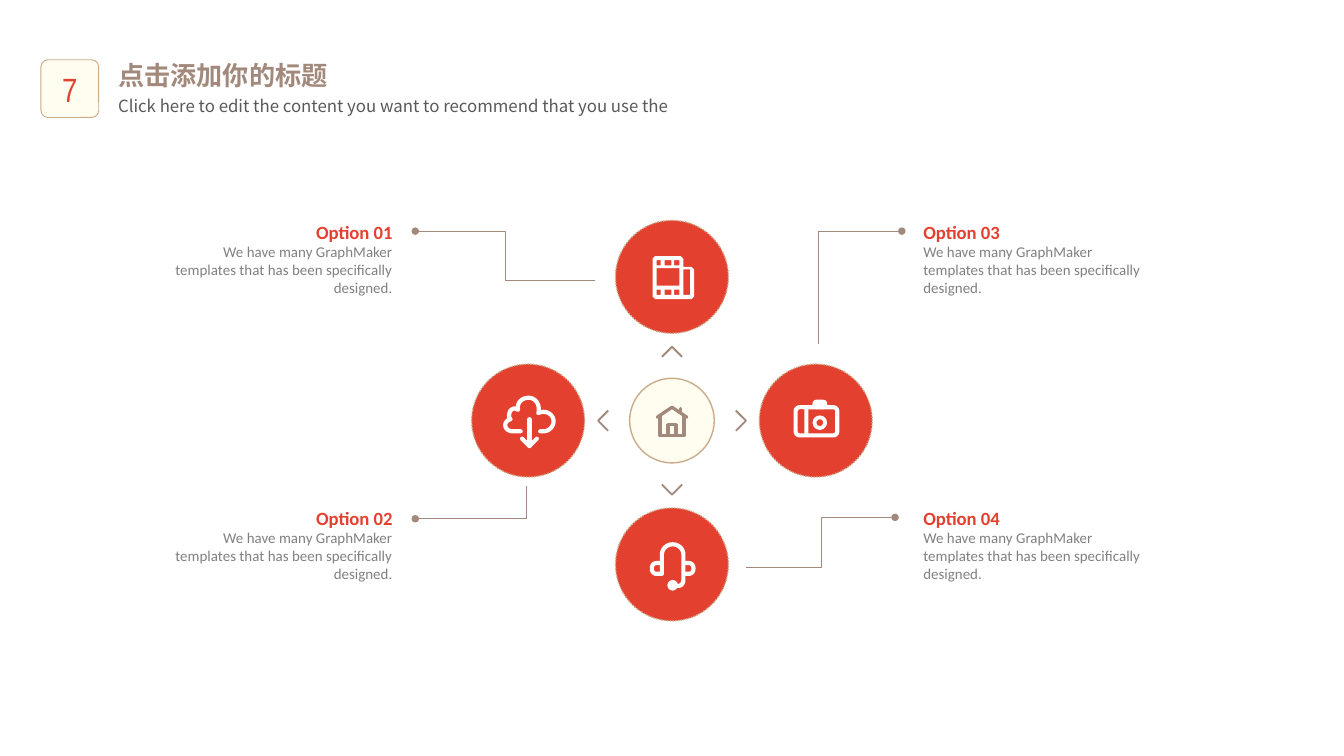
from lxml import etree
from pptx import Presentation
from pptx.dml.color import RGBColor
from pptx.enum.dml import MSO_LINE
from pptx.enum.shapes import MSO_SHAPE
from pptx.enum.text import MSO_ANCHOR, PP_ALIGN
from pptx.oxml.ns import qn
from pptx.util import Inches, Pt

OVAL, RECT, ROUNDED = MSO_SHAPE.OVAL, MSO_SHAPE.RECTANGLE, MSO_SHAPE.ROUNDED_RECTANGLE
LEFT, CENTER, RIGHT = PP_ALIGN.LEFT, PP_ALIGN.CENTER, PP_ALIGN.RIGHT
TOP, MIDDLE = MSO_ANCHOR.TOP, MSO_ANCHOR.MIDDLE
DOTTED = MSO_LINE.ROUND_DOT

RED = RGBColor(0xE4, 0x40, 0x2F)
CREAM = RGBColor(0xFF, 0xFD, 0xEF)
GOLD = RGBColor(0xCB, 0xAB, 0x89)
BROWN = RGBColor(0xA2, 0x89, 0x7B)
WHITE = RGBColor(0xFF, 0xFF, 0xFF)
GRAY = RGBColor(0x80, 0x80, 0x80)
DARK = RGBColor(0x59, 0x59, 0x59)
HEADING_FONT, BODY_FONT, NUMBER_FONT = "Noto Sans CJK SC", "Calibri", "Arial Narrow"

# The wheel: four nodes at equal reach around a hub
HUB = (5, 3.13)
REACH, NODE_SIZE, HUB_SIZE = 1.07, 0.84, 0.63
CHEVRON_TIP, CHEVRON_ARM = 0.55, 0.075
UP, DOWN, TO_LEFT, TO_RIGHT = (0, -1), (0, 1), (-1, 0), (1, 0)

OPTION_TEXT = "We have many GraphMaker templates that has been specifically designed."
OPTIONS = [  # title, left, top, alignment
    ("Option 01", 1.27, 1.64, RIGHT),
    ("Option 02", 1.27, 3.77, RIGHT),
    ("Option 03", 6.87, 1.64, LEFT),
    ("Option 04", 6.87, 3.77, LEFT),
]
LEADERS = [
    [(4.43, 2.09), (3.76, 2.09), (3.76, 1.72), (3.09, 1.72)],
    [(3.92, 3.62), (3.92, 3.86), (3.09, 3.86)],
    [(6.09, 2.56), (6.09, 1.72), (6.71, 1.72)],
    [(5.55, 4.22), (6.11, 4.22), (6.11, 3.85), (6.66, 3.85)],
]

# Icons, in hundredths of an inch from the centre of their circle.
# A pair is a straight step; six numbers are a cubic curve.
FILM_EDGE = [(9, -7), (9, -13), (7, -15), (-12, -15), (-14, -13), (-14, 15),
             (-12, 17), (15, 17), (17, 15), (17, -5), (15, -7)]
FILM_WINDOWS = [(-11, -6, 6, 7), (9, -5, 14, 14)] + [
    (left, top, right, top + 4)
    for left, right in ((-11, -8), (-5, 0), (2, 6)) for top in (-12, 10)]
CLOUD = [
    [(-5, 8.5), (-11, 8.5), (-14, 8.5, -16.5, 6.5, -16.5, 4),
     (-16.5, 2, -15, 0, -12.5, -0.5), (-14, -2, -14, -3, -13.5, -4),
     (-13.5, -6.5, -12, -8, -10, -8.5), (-9, -8.5, -8, -8, -7, -7.5),
     (-8, -13, -4, -16.5, 1, -16.5), (5, -16.5, 8.5, -13, 8.5, -8),
     (8.5, -7, 8.5, -6, 8, -5), (9, -5.5, 10.5, -6, 12, -6),
     (16, -6, 19.5, -3, 19.5, 1), (19.5, 5, 16, 8.5, 12, 8.5), (9.5, 8.5)],
    [(1.5, -0.5), (1.5, 19)],
    [(-4, 14), (1.5, 19.5), (7, 14)],
]
EAR_CUP = [(-8, -0.5), (-11, -0.5), (-13.5, -0.5, -14.5, 1.5, -14.5, 3.5),
           (-14.5, 5.5, -13.5, 7.5, -11, 7.5), (-8, 7.5)]
HEADSET = [
    [(-7, 7.5), (-7, -7), (-7, -11, -3.5, -14.5, 1, -14.5),
     (5.5, -14.5, 9, -11, 9, -7), (9, 12), (9, 14.5, 7.5, 16.5, 5, 16.5)],
    EAR_CUP,
    [tuple(2 - v if i % 2 == 0 else v for i, v in enumerate(step)) for step in EAR_CUP],
]
HOUSE = [
    [(-11, -2.5), (0, -10), (11, -2.5)],
    [(-9, -3), (-9, 11), (9, 11), (9, -3)],
    [(-3, 11), (-3, 3), (3, 3), (3, 11)],
    [(6.5, -9), (6.5, -6)],
]


def paint(shape, fill, line, width):
    shape.shadow.inherit = False
    if fill is None:
        shape.fill.background()
    else:
        shape.fill.solid()
        shape.fill.fore_color.rgb = fill
    if line is None:
        shape.line.fill.background()
    else:
        shape.line.color.rgb = line
        shape.line.width = Pt(width)
    return shape


def add_preset(slide, kind, center, width, height, fill=None, line=None, weight=0.75):
    shape = slide.shapes.add_shape(
        kind, Inches(center[0] - width / 2), Inches(center[1] - height / 2),
        Inches(width), Inches(height))
    return paint(shape, fill, line, weight)


def add_path(slide, contours, fill=None, line=None, weight=0.5, closed=False):
    contours = [[(Inches(x), Inches(y)) for x, y in points] for points in contours]
    builder = slide.shapes.build_freeform(*contours[0][0])
    for number, points in enumerate(contours):
        if number:
            builder.move_to(*points[0])
        builder.add_line_segments(points[1:], close=closed)
    return paint(builder.convert_to_shape(), fill, line, weight)


def trace(steps, center, samples=8):
    """Turn icon steps into slide points, sampling the curves."""
    points = []
    for step in steps:
        if len(step) == 2:
            points.append(step)
            continue
        controls = [points[-1], step[:2], step[2:4], step[4:]]
        for i in range(1, samples + 1):
            t = i / samples
            weights = ((1 - t) ** 3, 3 * t * (1 - t) ** 2, 3 * t * t * (1 - t), t ** 3)
            points.append(tuple(sum(w * c[axis] for w, c in zip(weights, controls))
                                for axis in (0, 1)))
    return [offset(center, x, y) for x, y in points]


def offset(center, x, y):
    return center[0] + x / 100, center[1] + y / 100


def add_line_icon(slide, center, strokes, color, weight):
    icon = add_path(slide, [trace(s, center) for s in strokes], line=color, weight=weight)
    icon.line._get_or_add_ln().set("cap", "rnd")


def add_film(slide, center):
    windows = [[(l, t), (r, t), (r, b), (l, b)] for l, t, r, b in FILM_WINDOWS]
    add_path(slide, [trace(c, center) for c in [FILM_EDGE] + windows],
             fill=WHITE, closed=True)


def add_cloud(slide, center):
    add_line_icon(slide, center, CLOUD, WHITE, 2.25)


def add_headset(slide, center):
    add_line_icon(slide, center, HEADSET, WHITE, 2.25)
    add_preset(slide, OVAL, offset(center, 1, 16), 0.08, 0.08, WHITE)


def add_camera(slide, center):
    body = add_preset(slide, ROUNDED, offset(center, 1, 1), 0.31, 0.21, line=WHITE, weight=2.25)
    body.adjustments[0] = 0.14
    add_preset(slide, RECT, offset(center, -6.5, 1), 0.03, 0.2, WHITE)
    bump = add_preset(slide, ROUNDED, offset(center, 3.5, -11.5), 0.11, 0.07, WHITE)
    bump.adjustments[0] = 0.4
    add_preset(slide, OVAL, offset(center, 3.5, 2), 0.08, 0.08, line=WHITE, weight=2)


def add_node(slide, direction, add_icon):
    center = tuple(h + REACH * d for h, d in zip(HUB, direction))
    circle = add_preset(slide, OVAL, center, NODE_SIZE, NODE_SIZE, RED, GOLD)
    circle.line.dash_style = DOTTED
    add_icon(slide, offset(center, -0.5, -0.5))
    # Chevron between hub and node
    dx, dy = direction
    x, y = HUB[0] + CHEVRON_TIP * dx, HUB[1] + CHEVRON_TIP * dy
    ends = [(x + CHEVRON_ARM * (side * dy - dx), y + CHEVRON_ARM * (side * dx - dy))
            for side in (-1, 1)]
    add_path(slide, [[ends[0], (x, y), ends[1]]], line=BROWN, weight=1)


def add_leader(slide, points):
    leader = add_path(slide, [points], line=BROWN)
    etree.SubElement(leader.line._get_or_add_ln(), qn("a:tailEnd"),
                     type="oval", w="sm", len="sm")


def write(paragraph, text, size, color, font, bold=False, align=LEFT):
    paragraph.text = text
    paragraph.alignment = align
    style = paragraph.font
    style.size, style.bold, style.name = Pt(size), bold, font
    style.color.rgb = color


def add_text_box(slide, left, top, width, height, inset=0):
    frame = slide.shapes.add_textbox(*map(Inches, (left, top, width, height))).text_frame
    frame.word_wrap = True
    frame.margin_left = frame.margin_right = Inches(inset)
    frame.margin_top = frame.margin_bottom = Inches(inset / 2)
    return frame


def add_option(slide, title, left, top, align):
    frame = add_text_box(slide, left, top, 1.65, 0.57)
    write(frame.paragraphs[0], title, 10, RED, BODY_FONT, True, align)
    write(frame.add_paragraph(), OPTION_TEXT, 8, GRAY, BODY_FONT, align=align)


def add_header(slide):
    badge = add_preset(slide, ROUNDED, (0.52, 0.66), 0.43, 0.43, CREAM, GOLD, 0.5)
    badge.adjustments[0] = 0.123
    badge.text_frame.vertical_anchor = MIDDLE
    write(badge.text_frame.paragraphs[0], "7", 18, RED, NUMBER_FONT, align=CENTER)

    title = slide.shapes.title
    title.left, title.top, title.width, title.height = map(Inches, (0.78, 0.39, 8.62, 0.47))
    title.text_frame.vertical_anchor = TOP
    heading = title.text_frame.paragraphs[0]
    write(heading, "点击添加你的标题", 14, BROWN, HEADING_FONT, True)
    east_asian = etree.Element(qn("a:ea"), typeface=HEADING_FONT)
    heading.font._element.find(qn("a:latin")).addnext(east_asian)

    subtitle = add_text_box(slide, 0.78, 0.66, 8.62, 0.33, 0.1)
    write(subtitle.paragraphs[0],
          "Click here to edit the content you want to recommend that you use the",
          9, DARK, HEADING_FONT)


def main():
    deck = Presentation()
    deck.slide_width = Inches(10)
    deck.slide_height = deck.slide_width * 9 // 16
    slide = deck.slides.add_slide(deck.slide_layouts[5])
    add_header(slide)

    # Wheel
    add_preset(slide, OVAL, HUB, HUB_SIZE, HUB_SIZE, CREAM, GOLD)
    add_line_icon(slide, HUB, HOUSE, BROWN, 1.75)
    for direction, add_icon in ((UP, add_film), (TO_RIGHT, add_camera),
                                (TO_LEFT, add_cloud), (DOWN, add_headset)):
        add_node(slide, direction, add_icon)

    # Options and their leader lines
    for points in LEADERS:
        add_leader(slide, points)
    for option in OPTIONS:
        add_option(slide, *option)
    deck.save("out.pptx")


if __name__ == "__main__":
    main()
